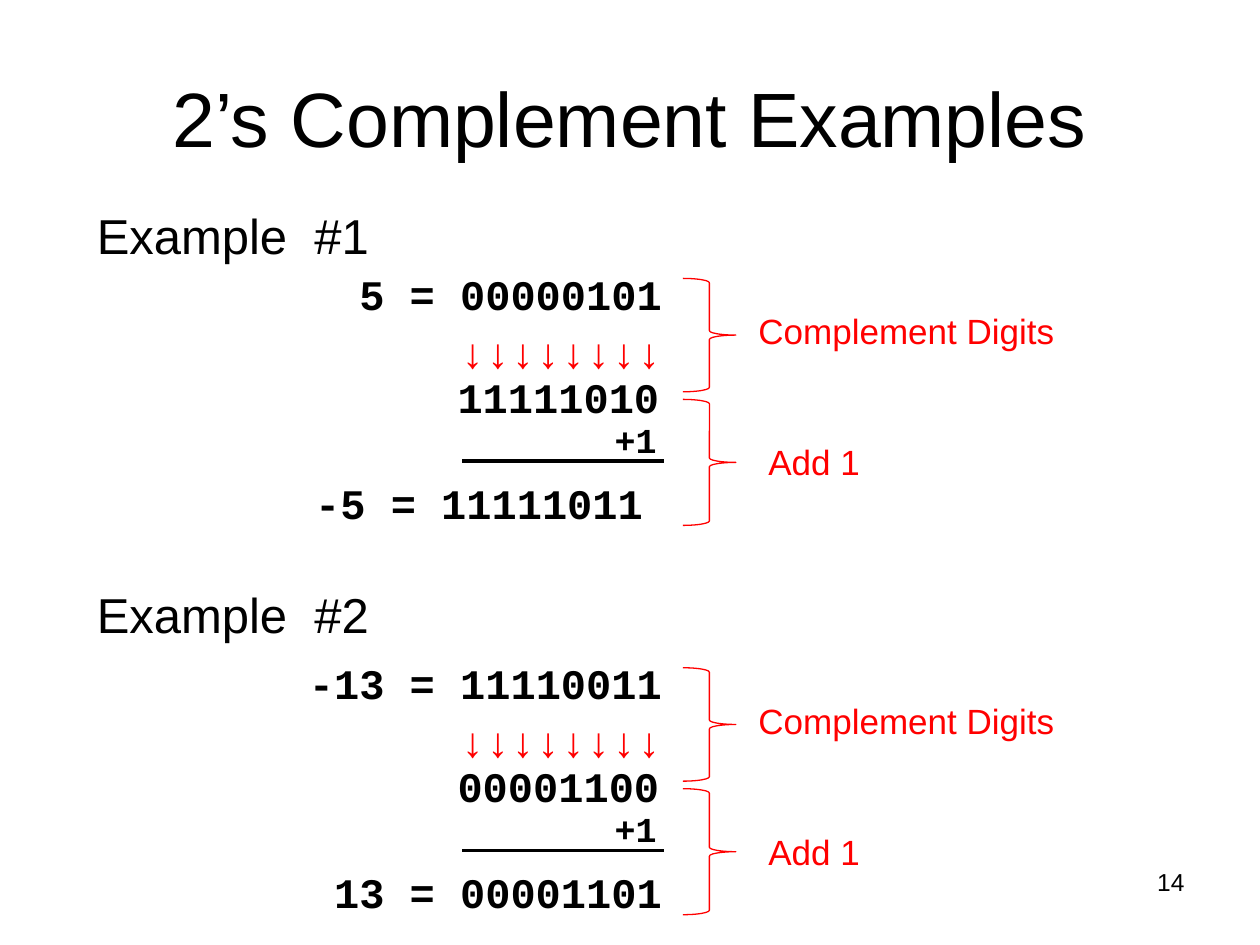
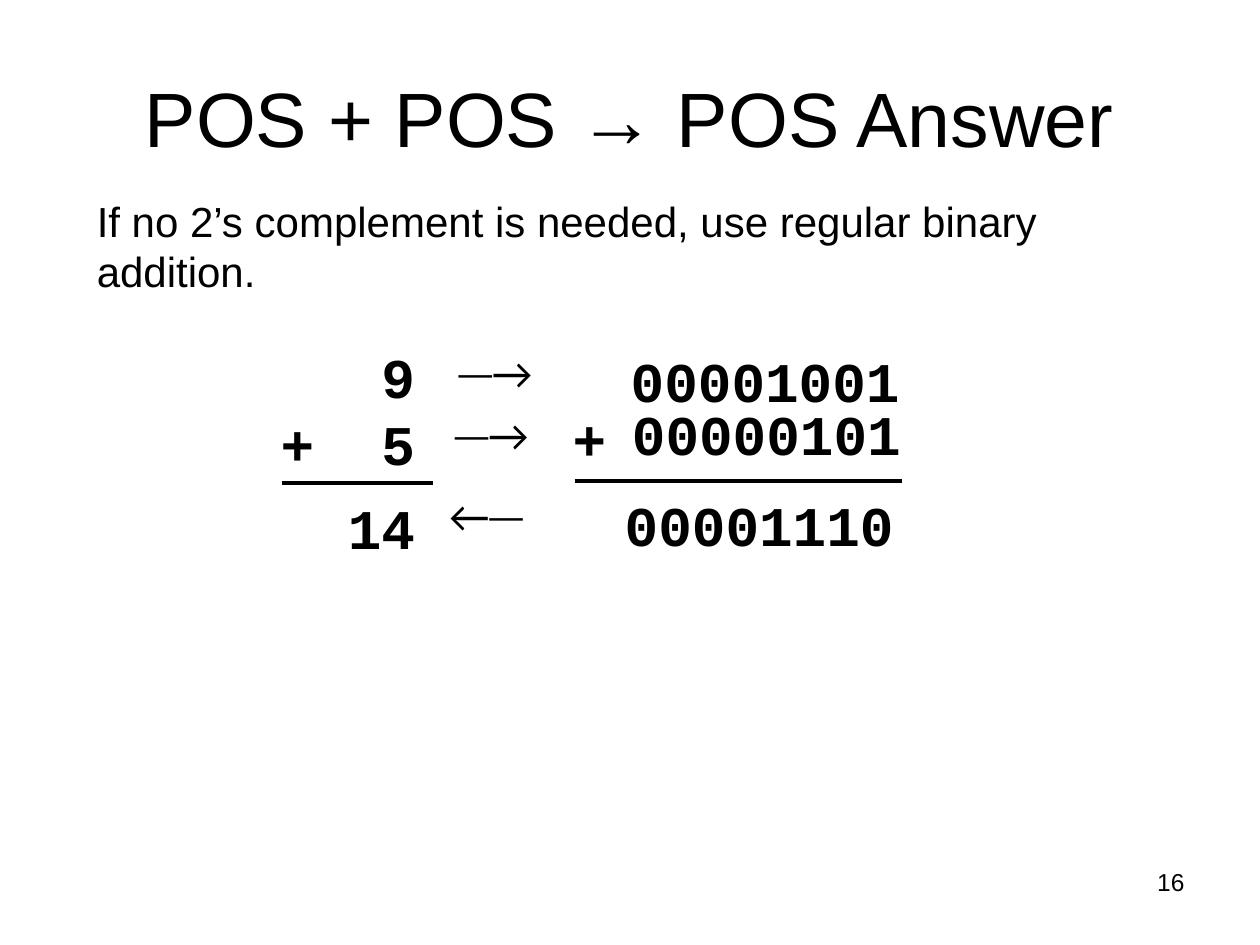
from pptx import Presentation
from pptx.dml.color import RGBColor
from pptx.enum.shapes import MSO_CONNECTOR, MSO_SHAPE
from pptx.enum.text import MSO_ANCHOR, MSO_AUTO_SIZE, PP_ALIGN
from pptx.oxml.ns import qn
from pptx.util import Inches, Pt
from lxml import etree

BLACK = RGBColor(0, 0, 0)
RED = RGBColor(255, 0, 0)
SANS, MONO, SYMBOL = "Arial", "Courier New", "Lato"
LEFT, CENTER, RIGHT = PP_ALIGN.LEFT, PP_ALIGN.CENTER, PP_ALIGN.RIGHT
MARGIN = 0.67

# Content: worked complements, each a block that starts at its own top
EXAMPLES = [
    dict(heading="Example  #1", heading_top=1.58, top=2.08, start_left=1.85,
         start="  5 = 00000101", flipped="11111010", result=["-5 = 11111011", " "]),
    dict(heading="Example  #2", heading_top=4.59, top=5.17, start_left=1.58,
         start="  -13 = 11110011", flipped="00001100", result=["13 = 00001101"]),
]
# Steps: label, label left and drop, brace drop and height
STEPS = [("Complement Digits", 5.92, 2.92, 0.33, 0.13, 0.9),
         ("Add 1", 6, 2.5, 1.37, 1.09, 1)]

# Content: binary addition
RULE = "If no 2’s complement is needed, use regular binary addition."
DECIMAL_SUM = [[" ", "  9 "], ["+  5 "], ["14 "]]
# Text, box, alignment, wrap
BINARY_SUM = [("00001001 ", (4.74, 2.7, 2.5, 0.64), RIGHT, True),
              ("00000101", (4.58, 3.12, 2.67, 0.64), RIGHT, True),
              ("+ ", (4.33, 3.16, 0.58, 0.64), RIGHT, True),
              ("00001110", (4.86, 3.84, 2.36, 0.64), LEFT, False)]
# Text, left, top, wrap, space after
ARROWS = [("─→", 3.55, 2.71, True, 6), ("─→", 3.52, 3.2, True, 6),
          ("←─", 3.46, 3.84, False, 0)]


def add_text(slide, lines, box, size, font=SANS, color=BLACK, align=LEFT,
             wrap=True, grow=True):
    """Lines are a string, or a list of paragraphs that are lists of runs."""
    if isinstance(lines, str):
        lines = [[lines]]
    shape = slide.shapes.add_textbox(*map(Inches, box))
    frame = shape.text_frame
    frame.word_wrap = wrap
    frame.auto_size = MSO_AUTO_SIZE.SHAPE_TO_FIT_TEXT if grow else MSO_AUTO_SIZE.NONE
    for index, texts in enumerate(lines):
        paragraph = frame.add_paragraph() if index else frame.paragraphs[0]
        paragraph.alignment = align
        for text in texts:
            run = paragraph.add_run()
            run.text = text
            run.font.size = Pt(size)
            run.font.name = font
            run.font.bold = font == MONO
            run.font.color.rgb = color
    return frame


def add_rule(slide, left, right, top):
    line = slide.shapes.add_connector(
        MSO_CONNECTOR.STRAIGHT, *map(Inches, (left, top, right, top)))
    line.line.color.rgb = BLACK
    line.line.width = Pt(2.25)
    etree.SubElement(line._element.spPr, qn("a:effectLst"))


def add_brace(slide, top, height):
    brace = slide.shapes.add_shape(
        MSO_SHAPE.RIGHT_BRACE, *map(Inches, (5.42, top, 0.42, height)))
    brace.shadow.inherit = False
    brace.fill.background()
    brace.line.color.rgb = RED
    brace.line.width = Pt(0.75)


def add_slide(title, number):
    slide = presentation.slides.add_slide(presentation.slide_layouts[6])
    frame = add_text(slide, title, (0.5, 0.3, 9, 1.25), 44, align=CENTER, grow=False)
    frame.vertical_anchor = MSO_ANCHOR.MIDDLE
    add_text(slide, number, (7.17, 6.83, 2.33, 0.52), 14, align=RIGHT, grow=False)
    return slide


def add_example(slide, example):
    top = example["top"]
    add_text(slide, example["heading"], (MARGIN, example["heading_top"], 2.58, 0.57), 28)
    # Braces with their labels
    for label, left, width, label_drop, brace_drop, height in STEPS:
        add_text(slide, label, (left, top + label_drop, width, 0.44), 20, color=RED)
        add_brace(slide, top + brace_drop, height)
    # Column of digits
    left = example["start_left"]
    rows = [(example["start"], left, 5.35 - left, 0, BLACK),
            ("↓" * 8, 1.85, 3.5, 0.46, RED),
            (example["flipped"], 1.83, 3.5, 0.82, BLACK),
            ([example["result"]], 1.85, 3.5, 1.66, BLACK)]
    for text, left, width, drop, color in rows:
        frame = add_text(slide, text, (left, top + drop, width, 0.5), 24, MONO, color, RIGHT)
    for spacer in frame.paragraphs[0].runs[1:]:
        spacer.font.size = Pt(18)
    # Added one and the sum line
    add_text(slide, "+1", (4.77, top + 1.19, 0.54, 0.44), 20, MONO, align=RIGHT, wrap=False)
    add_rule(slide, 3.67, 5.27, top + 1.58)


presentation = Presentation()
presentation.slide_width, presentation.slide_height = Inches(10), Inches(7.5)

# Slide: complement examples
slide = add_slide("2’s Complement Examples", "14")
for example in EXAMPLES:
    add_example(slide, example)

# Slide: positive plus positive
slide = add_slide("POS + POS → POS Answer", "16")
add_text(slide, RULE, (MARGIN, 1.5, 8.67, 0.9), 24)
frame = add_text(slide, DECIMAL_SUM, (2.11, 2.67, 1.55, 1.85), 32, MONO,
                 align=RIGHT, wrap=False)
frame.paragraphs[0].runs[0].font.size = Pt(24)
frame.paragraphs[-1].line_spacing = 1.25
add_rule(slide, 2.24, 3.44, 3.83)
for text, box, align, wrap in BINARY_SUM:
    add_text(slide, text, box, 32, MONO, align=align, wrap=wrap)
add_rule(slide, 4.56, 7.16, 3.82)
for text, left, top, wrap, space in ARROWS:
    frame = add_text(slide, text, (left, top, 0.86, 0.51), 24, SYMBOL, wrap=wrap)
    frame.paragraphs[0].space_after = Pt(space)

presentation.save("out.pptx")
